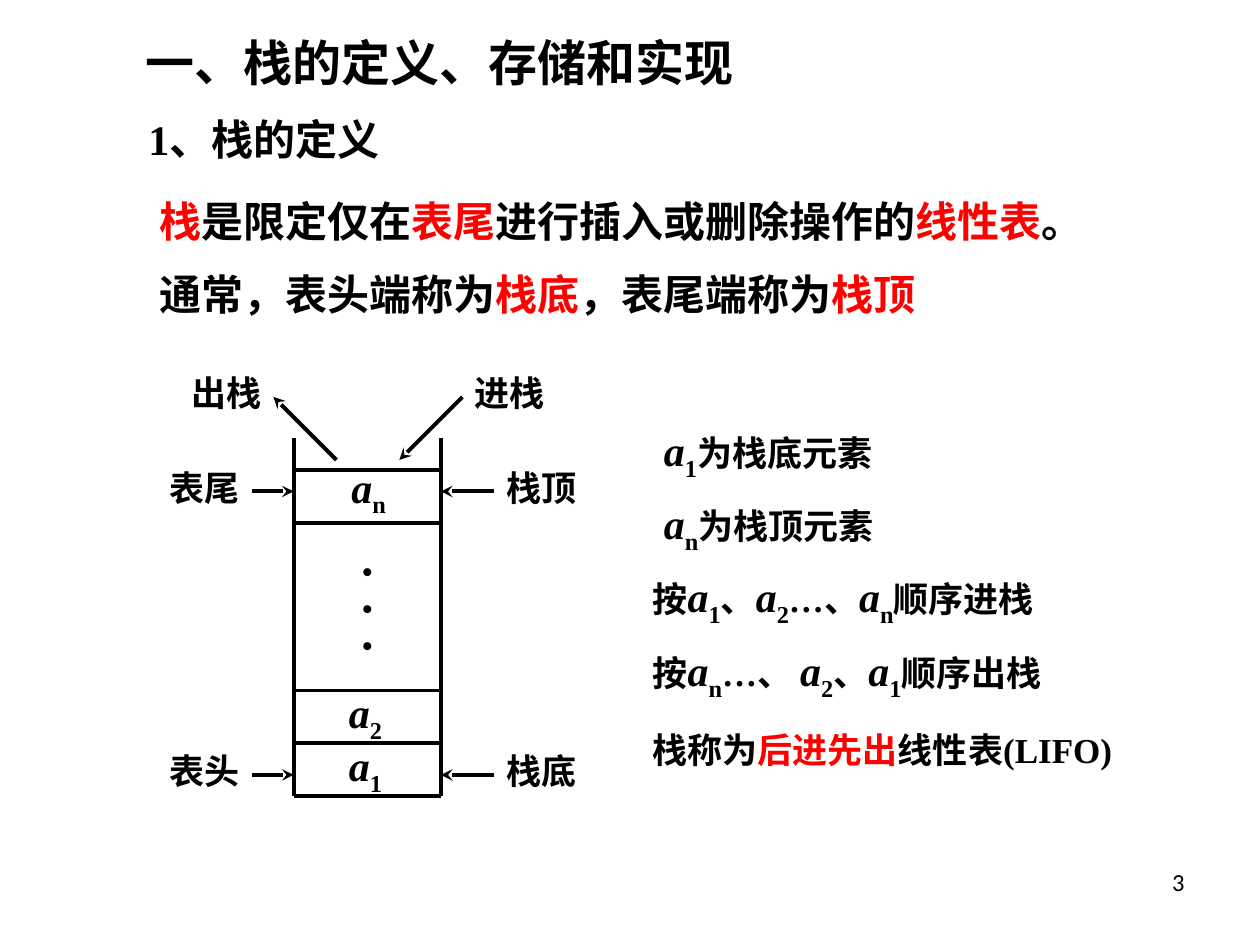
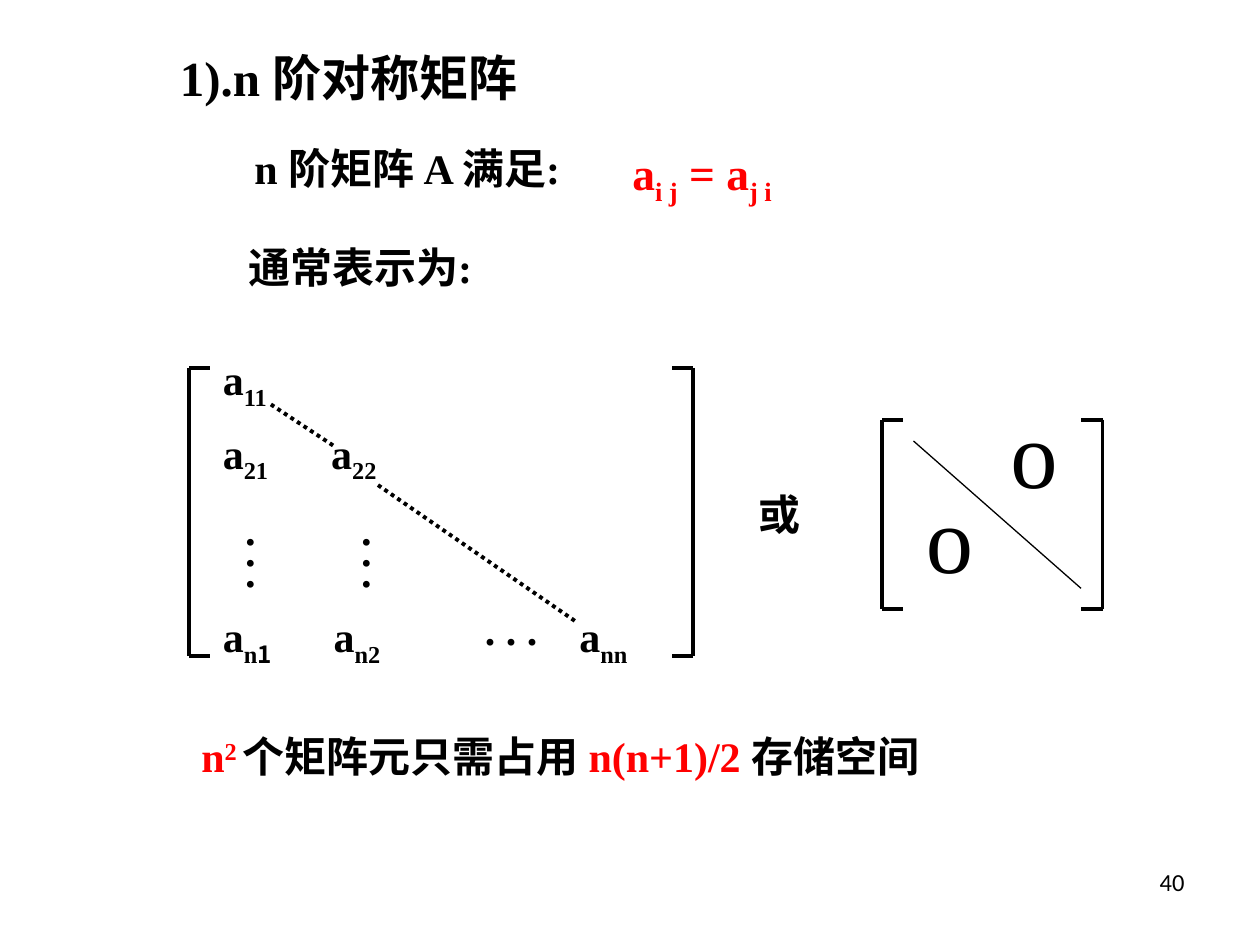
from dataclasses import dataclass, replace

from lxml.etree import SubElement
from pptx import Presentation
from pptx.dml.color import RGBColor
from pptx.enum.dml import MSO_LINE
from pptx.enum.shapes import MSO_CONNECTOR
from pptx.enum.text import PP_ALIGN
from pptx.oxml.ns import qn
from pptx.util import Inches, Pt

BLACK, RED = "000000", "FF0000"
SERIF, CJK, SANS = "Times New Roman", "Noto Sans CJK SC", "Calibri"
TITLE, BODY, LABEL = 28, 24, 20


@dataclass(frozen=True)
class Run:
    """A stretch of text in one format."""
    text: str
    size: float = BODY
    color: str = BLACK
    bold: bool = True
    italic: bool = False
    base: int = 0
    font: str = SERIF
    spacing: int = 0


@dataclass(frozen=True)
class Box:
    """A one-paragraph text box, in inches."""
    left: float
    top: float
    width: float
    height: float
    runs: tuple[Run, ...]
    vertical: bool = False
    align: PP_ALIGN = PP_ALIGN.LEFT


@dataclass(frozen=True)
class Line:
    """A straight line, in inches, with an optional arrowhead at its end."""
    x1: float
    y1: float
    x2: float
    y2: float
    width: float = 2.25
    arrow: bool = False
    dotted: bool = False


def rgb(color: str) -> RGBColor:
    """Turn a hex string into a colour."""
    return RGBColor.from_string(color)


def red(text: str, size: float = BODY) -> Run:
    """Return a highlighted run."""
    return Run(text, size, RED)


def label(text: str) -> Run:
    """Return a run in the small label size."""
    return Run(text, LABEL)


def element(sub: str, italic: bool = False) -> tuple[Run, Run]:
    """Return the letter a with a subscript."""
    return Run("a", italic=italic), Run(sub, base=-25)


def item(sub: str) -> tuple[Run, Run]:
    """Return a stack element with an italic letter."""
    return element(sub, italic=True)


def add_box(s, box: Box) -> None:
    """Draw a text box."""
    sp = s.shapes.add_textbox(*map(Inches, (box.left, box.top, box.width, box.height)))
    tf = sp.text_frame
    tf.word_wrap = True
    across, along = (0.05, 0.1) if box.vertical else (0.1, 0.05)
    tf.margin_left = tf.margin_right = Inches(across)
    tf.margin_top = tf.margin_bottom = Inches(along)
    if box.vertical:
        tf._txBody.bodyPr.set("vert", "eaVert")
    p = tf.paragraphs[0]
    p.alignment = box.align
    for run in box.runs:
        r = p.add_run()
        r.text = run.text
        r.font.size, r.font.name = Pt(run.size), run.font
        r.font.bold, r.font.italic = run.bold, run.italic
        r.font.color.rgb = rgb(run.color)
        props = r._r.get_or_add_rPr()
        SubElement(props, qn("a:ea")).set("typeface", CJK)
        if run.base:
            props.set("baseline", str(run.base * 1000))
        if run.spacing:
            props.set("spc", str(run.spacing))


def add_line(s, line: Line) -> None:
    """Draw a line or an arrow."""
    ends = map(Inches, (line.x1, line.y1, line.x2, line.y2))
    sp = s.shapes.add_connector(MSO_CONNECTOR.STRAIGHT, *ends)
    sp.line.color.rgb = rgb(BLACK)
    sp.line.width = Pt(line.width)
    if line.dotted:
        sp.line.dash_style = MSO_LINE.ROUND_DOT
    if line.arrow:
        SubElement(sp.line._get_or_add_ln(), qn("a:tailEnd")).set("type", "stealth")
    SubElement(sp._element.spPr, qn("a:effectLst"))


def add_brackets(s, left: float, right: float, top: float, bottom: float) -> None:
    """Draw a pair of square matrix brackets."""
    for x, tick in ((left, 0.17), (right, -0.17)):
        add_line(s, Line(x, top, x, bottom))
        for y in (top, bottom):
            add_line(s, Line(x, y, x + tick, y))


def add_page(prs, number: int, boxes: list[Box], lines: list[Line]):
    """Add a blank slide with its text, lines and page number."""
    s = prs.slides.add_slide(prs.slide_layouts[6])
    for line in lines:
        add_line(s, line)
    for box in boxes:
        add_box(s, box)
    page = Run(str(number), 14, bold=False, font=SANS)
    add_box(s, Box(7.17, 6.83, 2.33, 0.52, (page,), align=PP_ALIGN.RIGHT))
    return s


def add_stack_slide(prs) -> None:
    """Build the slide that defines the stack."""
    left, right, rim, floor = 2.33, 3.5, 3.48, 6.32
    boxes = [
        Box(1.06, 0.21, 6.14, 0.57, (Run("一、栈的定义、存储和实现", TITLE),)),
        Box(1.08, 0.85, 7, 0.5, (Run("1、栈的定义"),)),
        Box(1.17, 1.5, 7.83, 0.5, (
            red("栈"), Run("是限定仅在"), red("表尾"), Run("进行插入或删除操作的"),
            red("线性表"), Run("。"))),
        Box(1.17, 2.08, 8.17, 0.5, (
            Run("通常，表头端称为"), red("栈底"), Run("，表尾端称为"), red("栈顶"))),
        Box(5.17, 3.32, 3.75, 0.56, (*item("1"), label("为栈底元素"))),
        Box(5.17, 3.9, 3.75, 0.56, (*item("n"), label("为栈顶元素"))),
        Box(5.08, 4.48, 3.75, 0.56, (
            label("按"), *item("1"), label("、"), *item("2"), label("…、"),
            *item("n"), label("顺序进栈"))),
        Box(5.08, 5.07, 3.75, 0.56, (
            label("按"), *item("n"), label("…、 "), *item("2"), label("、"),
            *item("1"), label("顺序出栈"))),
        Box(5.08, 5.73, 4.33, 0.44, (
            label("栈称为"), red("后进先出", LABEL), label("线性表(LIFO)"))),
        Box(2.67, 4.4, 0.66, 1.17, (Run(". . .", TITLE, spacing=350),), vertical=True),
    ]
    boxes += [Box(x, y, 1.17, 0.56, item(sub))
              for sub, x, y in (("1", 2.67, 5.82), ("2", 2.67, 5.4), ("n", 2.69, 3.61))]
    boxes += [Box(x, y, 0.92, 0.44, (label(text),)) for text, x, y in (
        ("出栈", 1.42, 2.9), ("进栈", 3.67, 2.9), ("表头", 1.25, 5.9),
        ("表尾", 1.25, 3.65), ("栈底", 3.92, 5.9), ("栈顶", 3.92, 3.65))]
    lines = [Line(2.67, 3.65, 2.17, 3.15, arrow=True),
             Line(3.67, 3.15, 3.17, 3.65, arrow=True)]
    lines += [Line(x, rim, x, floor) for x in (left, right)]
    lines += [Line(left, y, right, y) for y in (3.73, 4.15, 5.48, 5.9, floor)]
    for y in (3.9, 6.15):
        lines += [Line(2, y, left, y, arrow=True), Line(3.92, y, right, y, arrow=True)]
    add_page(prs, 3, boxes, lines)


def add_matrix_slide(prs) -> None:
    """Build the slide on symmetric matrices."""
    formula = tuple(replace(red(text, 26), base=base) for text, base in (
        ("a", 0), ("i j", -25), (" = a", 0), ("j i", -25)))
    a_n1 = (*element("n"), Run("1", base=-25, font=CJK))
    dots = (Run(". . ."),)
    zero = (Run("o", 54, bold=False),)
    boxes = [
        Box(1.33, 0.33, 5, 0.57, (Run("1).n 阶对称矩阵", TITLE),)),
        Box(1.92, 1.08, 3.2, 0.6, (Run("n 阶矩阵 A 满足:"),)),
        Box(4.92, 1.1, 2.33, 0.6, formula),
        Box(1.87, 1.87, 4.42, 0.5, (Run("通常表示为:"),)),
        Box(3.75, 4.74, 1.33, 0.5, dots),
        Box(5.92, 3.83, 1.17, 0.5, (Run("或"),)),
        Box(7.92, 3.08, 1.25, 1, zero),
        Box(7.25, 3.75, 1.25, 1, zero),
        Box(1.5, 5.75, 6.83, 0.5, (
            red("n"), replace(red("2 "), base=30), Run("个矩阵元只需占用 "),
            red("n(n+1)/2 "), Run("存储空间"))),
    ]
    boxes += [Box(x, 4.17, 0.6, 1.17, dots, vertical=True) for x in (1.75, 2.67)]
    boxes += [Box(x, y, 0.9, 0.56, runs) for x, y, runs in (
        (1.67, 2.76, element("11")), (1.67, 3.34, element("21")),
        (2.53, 3.34, element("22")), (1.67, 4.8, a_n1),
        (2.55, 4.8, element("n2")), (4.5, 4.8, element("nn")))]
    lines = [Line(2.15, 3.21, 2.65, 3.54, dotted=True),
             Line(3, 3.85, 4.58, 4.94, dotted=True),
             Line(7.25, 3.5, 8.58, 4.67, width=0.75)]
    s = add_page(prs, 40, boxes, lines)
    add_brackets(s, 1.5, 5.5, 2.92, 5.21)
    add_brackets(s, 7, 8.75, 3.33, 4.83)


def main() -> None:
    """Build and save the presentation."""
    prs = Presentation()
    prs.slide_width, prs.slide_height = Inches(10), Inches(7.5)
    add_stack_slide(prs)
    add_matrix_slide(prs)
    prs.save("out.pptx")


if __name__ == "__main__":
    main()
